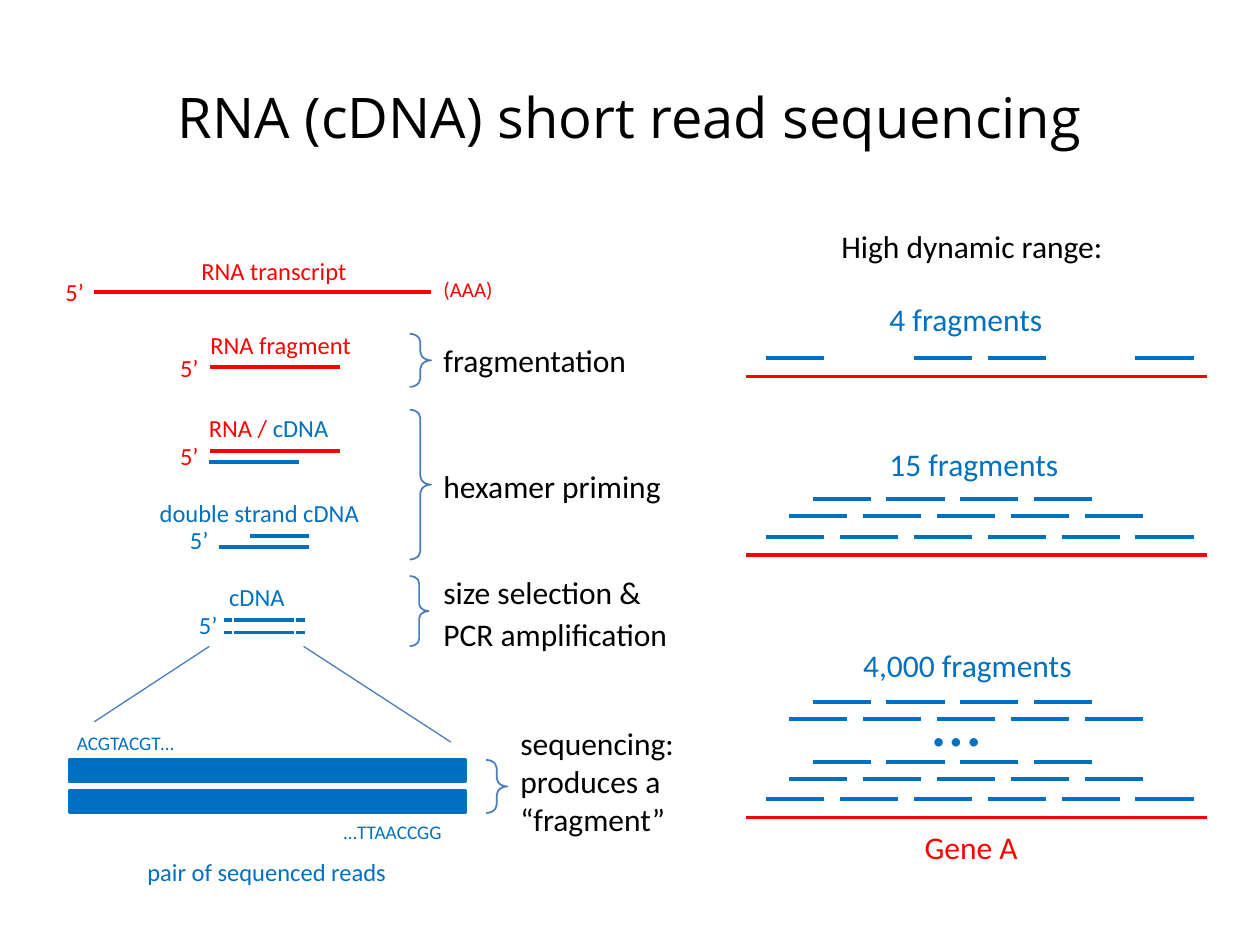
from lxml.etree import SubElement
from pptx import Presentation
from pptx.dml.color import RGBColor
from pptx.enum.shapes import MSO_CONNECTOR as Link, MSO_SHAPE as Kind
from pptx.enum.text import MSO_ANCHOR as Anchor, MSO_AUTO_SIZE as Fit, PP_ALIGN as Align
from pptx.oxml.ns import qn
from pptx.util import Cm, Pt

RED, BLUE, EDGE, BLACK = "FF0000", "0070C0", "4A7DBA", "000000"
HIGH = {11: 0.74, 12: 0.76, 14: 0.86, 18: 1.02, 40: 1.96}  # box height by text size
DASH, STEP, SHIFT = 1.17, 1.49, 0.47  # fragment length, pitch, row offset
LEFT, RIGHT = 15.04, 24.33  # ends of the gene


def hue(code):
    return RGBColor.from_string(code)


def style(font, size, code, name="Calibri"):
    font.name, font.size = name, Pt(size)
    font.color.rgb = hue(code)


def label(slide, text, x, y, wide, size, code, high=None):
    box = slide.shapes.add_textbox(Cm(x), Cm(y), Cm(wide), Cm(high or HIGH[size]))
    frame = box.text_frame
    frame.word_wrap = True
    frame.auto_size = Fit.SHAPE_TO_FIT_TEXT
    para = frame.paragraphs[0]
    para.text = text
    style(para.font, size, code)
    return para


def line(slide, x1, y1, x2, y2, code, width=2.25):
    rule = slide.shapes.add_connector(Link.STRAIGHT, Cm(x1), Cm(y1), Cm(x2), Cm(y2))
    rule.line.color.rgb = hue(code)
    rule.line.width = Pt(width)
    SubElement(rule._element.spPr, qn("a:effectLst"))


def brace(slide, x, y, wide, high):
    mark = slide.shapes.add_shape(Kind.RIGHT_BRACE, Cm(x), Cm(y), Cm(wide), Cm(high))
    mark.shadow.inherit = False
    mark.adjustments[0] = 0.39
    mark.fill.background()
    mark.line.color.rgb = hue(EDGE)
    mark.line.width = Pt(1)


def bar(slide, y):
    read = slide.shapes.add_shape(Kind.RECTANGLE, Cm(1.4), Cm(y), Cm(7.98), Cm(0.43))
    read.shadow.inherit = False
    read.fill.solid()
    read.fill.fore_color.rgb = hue(BLUE)
    read.line.color.rgb = hue(BLUE)
    read.line.width = Pt(2)


def row(slide, y, level, slots=None):
    """Draw one row of fragments; each level is shifted and one shorter."""
    for slot in slots or range(6 - level):
        x = 15.44 + level * SHIFT + slot * STEP
        line(slide, x, y, x + DASH, y, BLUE)


def title(slide):
    head = slide.shapes.title
    head.left, head.top, head.width, head.height = Cm(1.27), Cm(0.76), Cm(22.86), Cm(3.18)
    head.text_frame.vertical_anchor = Anchor.MIDDLE
    para = head.text_frame.paragraphs[0]
    para.text = "RNA (cDNA) short read sequencing"
    para.alignment = Align.CENTER
    style(para.font, 32, BLACK, "Open Sans")


def strands(slide):
    # Strand ends and names
    for x, y, code in ((1.07, 5.46, RED), (3.38, 6.99, RED), (3.38, 8.76, RED),
                       (3.58, 10.46, BLUE), (3.76, 12.17, BLUE)):
        label(slide, "5’", x, y, 0.89, 14, code)
    for text, x, y, wide, code in (
            ("RNA transcript", 3.81, 5.03, 3.68, RED),
            ("RNA fragment", 3.99, 6.53, 3.56, RED),
            ("double strand cDNA", 2.97, 9.91, 4.78, BLUE),
            ("cDNA", 4.37, 11.61, 1.78, BLUE)):
        label(slide, text, x, y, wide, 14, code)
    label(slide, "(AAA)", 8.69, 5.46, 1.7, 12, RED)
    both = label(slide, "RNA / ", 3.96, 8.2, 3.38, 14, RED).add_run()
    both.text = "cDNA"
    both.font.color.rgb = hue(BLUE)

    # Strands
    for x1, x2, y, code in ((1.9, 8.69, 5.89, RED), (4.24, 6.86, 7.39, RED),
                            (4.24, 6.86, 9.09, RED), (4.22, 6.02, 9.32, BLUE),
                            (5.03, 6.22, 10.8, BLUE), (4.42, 6.22, 11.02, BLUE)):
        line(slide, x1, y, x2, y, code)

    # Insert with an adapter at each end
    for y in (12.5, 12.75):
        for x1, x2 in ((4.52, 4.67), (4.72, 5.92), (5.97, 6.15)):
            line(slide, x1, y, x2, y, BLUE)


def steps(slide):
    for text, y, wide in (("fragmentation", 6.76, 4.24),
                          ("hexamer priming", 9.3, 4.98),
                          ("size selection &", 11.43, 4.67),
                          ("PCR amplification", 12.27, 5.38)):
        label(slide, text, 8.69, y, wide, 18, BLACK)
    label(slide, "sequencing: produces a “fragment”", 10.24, 14.48, 4.11, 18, BLACK, 2.57)
    for place in ((8.26, 6.73, 0.43, 1.07), (8.26, 8.26, 0.43, 3.02),
                  (8.26, 11.61, 0.38, 1.42), (9.8, 15.32, 0.43, 1.07)):
        brace(slide, *place)


def reads(slide):
    line(slide, 4.22, 13.03, 1.9, 14.55, EDGE, 0.75)
    line(slide, 6.12, 13.03, 9.09, 14.96, EDGE, 0.75)
    for y in (15.32, 15.95):
        bar(slide, y)
    label(slide, "ACGTACGT…", 1.3, 14.61, 2.92, 11, BLUE)
    label(slide, "…TTAACCGG", 6.68, 16.41, 2.92, 11, BLUE)
    label(slide, "pair of sequenced reads", 2.72, 17.15, 5.38, 14, BLUE)


def depth(slide):
    label(slide, "High dynamic range:", 16.71, 4.45, 6.05, 18, BLACK)
    for text, x, y, wide in (("4 fragments", 17.68, 5.92, 3.71),
                             ("15 fragments", 17.68, 8.84, 4.01),
                             ("4,000 fragments", 17.15, 12.9, 4.83)):
        label(slide, text, x, y, wide, 18, BLUE)

    # Gene under each stack of fragments
    for y in (7.59, 11.18, 16.48):
        line(slide, LEFT, y, RIGHT, y, RED)
    row(slide, 7.21, 0, (0, 2, 3, 5))
    for y, level in ((10.82, 0), (10.41, 1), (10.06, 2),
                     (16.1, 0), (15.7, 1), (15.36, 2), (14.5, 1), (14.15, 2)):
        row(slide, y, level)
    label(slide, "…", 18.54, 13.51, 1.7, 40, BLUE)
    label(slide, "Gene A", 18.39, 16.56, 2.49, 18, RED)


def main():
    deck = Presentation()
    deck.slide_width, deck.slide_height = Cm(25.4), Cm(19.05)
    slide = deck.slides.add_slide(deck.slide_layouts[5])
    for part in (title, strands, steps, reads, depth):
        part(slide)
    deck.save("out.pptx")


if __name__ == "__main__":
    main()
